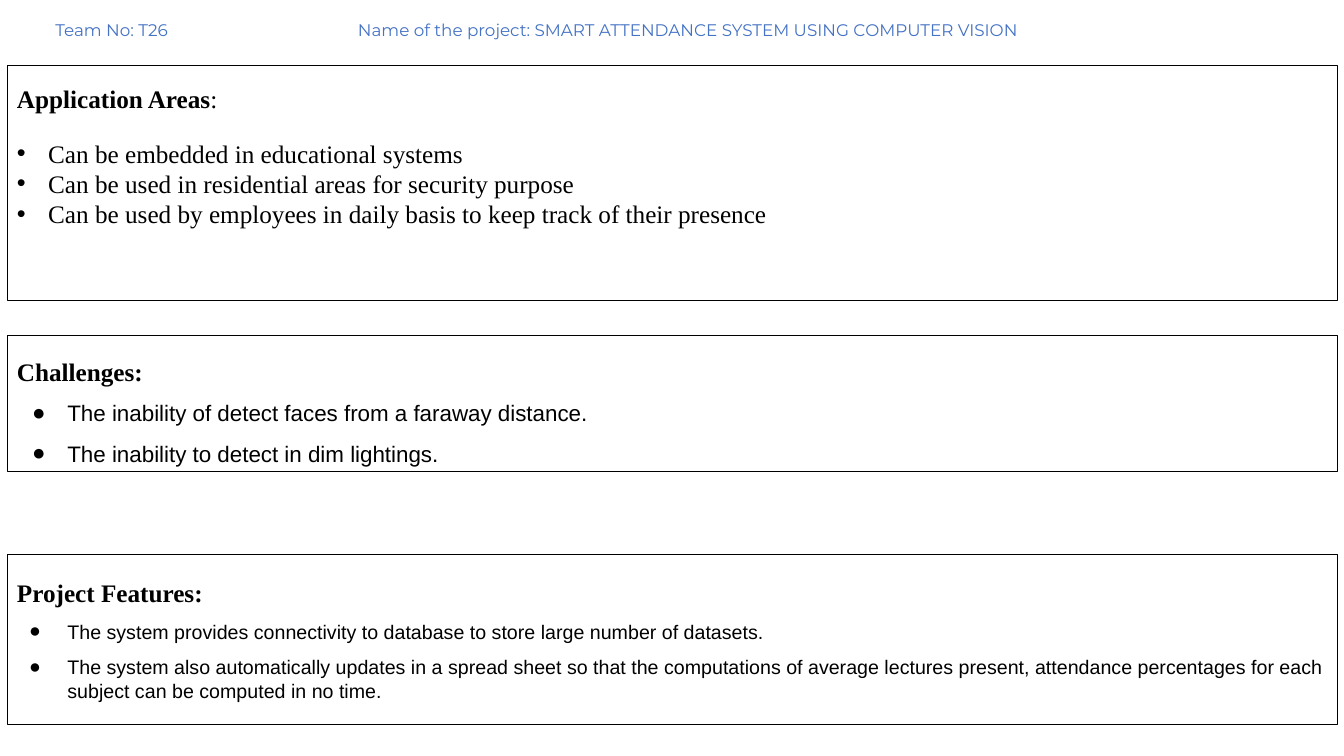
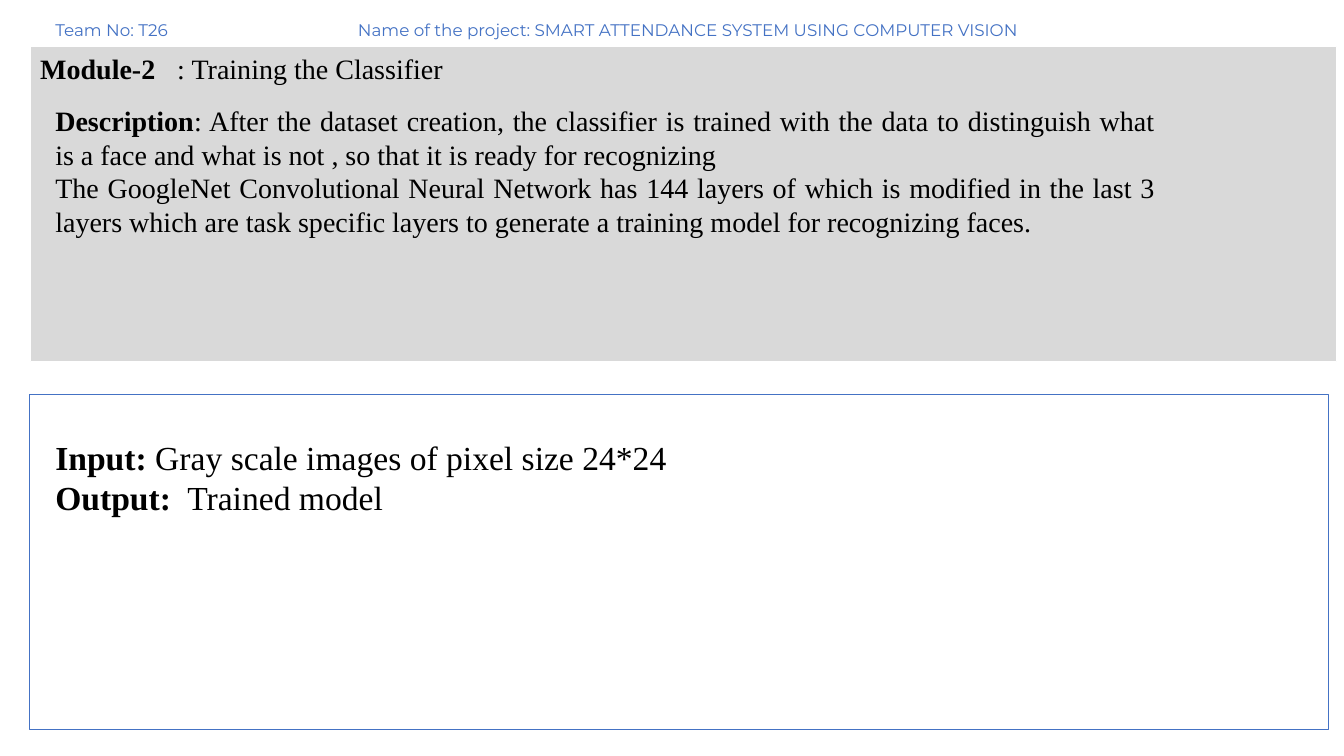
from dataclasses import dataclass

from lxml.etree import SubElement
from pptx import Presentation
from pptx.dml.color import RGBColor
from pptx.enum.shapes import MSO_SHAPE as Preset
from pptx.enum.text import MSO_ANCHOR as Anchor, MSO_AUTO_SIZE as AutoSize, PP_ALIGN as Align
from pptx.oxml.ns import qn
from pptx.util import Pt

EMU_PER_PX = 9144  # 100 px to the inch
TITLE_ONLY = 5


@dataclass(frozen=True)
class Theme:
    black: RGBColor = RGBColor(0x00, 0x00, 0x00)
    white: RGBColor = RGBColor(0xFF, 0xFF, 0xFF)
    blue: RGBColor = RGBColor(0x44, 0x72, 0xC4)
    gray: RGBColor = RGBColor(0xD9, 0xD9, 0xD9)
    title_font: str = "Montserrat"
    serif: str = "Times New Roman"
    sans: str = "Arial"
    title_size: int = 12
    heading_size: int = 18
    module_size: int = 20
    result_size: int = 24
    line_width: float = 0.75


THEME = Theme()

HEADER = "Team No: T26\tName of the project: SMART ATTENDANCE SYSTEM USING COMPUTER VISION"
HEADER_BOX = (45, 17, 1269, 35)

PANEL_LEFT, PANEL_WIDTH = 7, 1320
PANELS = [
    {
        "top": 65, "height": 233, "bottom_inset": 58,
        "heading": [("Application Areas", True), (":", False)],
        "heading_format": {"after": 17},
        "items": [
            "Can be embedded in educational systems",
            "Can be used in residential areas for security purpose",
            "Can be used by employees in daily basis to keep track of their presence",
        ],
        "item_format": {"bullet": "•", "margin": 31, "hanging": 31},
    },
    {
        "top": 333, "height": 135, "bottom_inset": 5,
        "heading": [("Challenges:", True)],
        "heading_format": {"spacing": 1.5},
        "items": [
            "The inability of detect faces from a faraway distance.",
            "The inability to detect in dim lightings.",
        ],
        "item_format": {"bullet": "●", "margin": 50, "hanging": 35, "spacing": 1.5,
                        "font": THEME.sans, "size": 16},
    },
    {
        "top": 550, "height": 169, "bottom_inset": 5,
        "heading": [("Project Features:", True)],
        "heading_format": {},
        "items": [
            "The system provides connectivity to database to store large number of datasets.",
            "The system also automatically updates in a spread sheet so that the computations of "
            "average lectures present, attendance percentages for each subject can be computed "
            "in no time.",
        ],
        "item_format": {"bullet": "●", "margin": 50, "hanging": 38, "before": 8.7,
                        "font": THEME.sans, "size": 14},
    },
]

MODULE_BOX = (30, 46, 1296, 313)
MODULE = [("Module-2", True), ("\t: Training the Classifier", False)]

DESCRIPTION_BOX = (45, 98, 1111, 145)
DESCRIPTION = [
    [("Description", True),
     (": After the dataset creation, the classifier is trained with the data to distinguish "
      "what is a face and what is not , so that it is ready for recognizing", False)],
    [("The GoogleNet Convolutional Neural Network has 144 layers of which is modified in the "
      "last 3 layers which are task specific layers to generate a training model for "
      "recognizing faces.", False)],
]

RESULT_FRAME = (29, 391, 1289, 333)
RESULT_BOX = (45, 401, 747, 109)
RESULTS = [
    [("Input: ", True), ("Gray scale images of pixel size 24*24", False)],
    [("Output:", True), ("\tTrained model", False)],
]


def px(length):
    return round(length * EMU_PER_PX)


def set_frame(shape, anchor=Anchor.TOP, top=5, bottom=5):
    """Set wrapping, anchor and insets, and return the text frame."""
    frame = shape.text_frame
    frame.word_wrap = True
    frame.auto_size = AutoSize.NONE
    frame.vertical_anchor = anchor
    frame.margin_left = frame.margin_right = px(10)
    frame.margin_top, frame.margin_bottom = px(top), px(bottom)
    return frame


def add_text(frame, runs, font=THEME.serif, size=THEME.heading_size, color=THEME.black,
             align=Align.LEFT, spacing=1.0, before=0, after=0,
             bullet=None, margin=0, hanging=0, tab=None):
    """Write (text, bold) runs as the next paragraph; lengths in px, spaces in points."""
    paragraph = frame.paragraphs[0]
    if paragraph.runs:
        paragraph = frame.add_paragraph()
    paragraph.alignment = align
    paragraph.line_spacing = spacing
    paragraph.space_before, paragraph.space_after = Pt(before), Pt(after)
    properties = paragraph._p.get_or_add_pPr()
    if bullet:
        properties.set("marL", str(px(margin)))
        properties.set("indent", str(-px(hanging)))
        SubElement(properties, qn("a:buFont"), typeface=THEME.sans)
        SubElement(properties, qn("a:buChar"), char=bullet)
    if tab:
        stops = SubElement(properties, qn("a:tabLst"))
        SubElement(stops, qn("a:tab"), pos=str(px(tab)), algn="l")
    for text, bold in runs:
        run = paragraph.add_run()
        run.text = text
        run.font.name, run.font.size, run.font.bold = font, Pt(size), bold
        run.font.color.rgb = color


def add_box(slide, box, line, fill=None):
    shape = slide.shapes.add_shape(Preset.RECTANGLE, *map(px, box))
    shape.shadow.inherit = False
    if fill is None:
        shape.fill.background()
    else:
        shape.fill.solid()
        shape.fill.fore_color.rgb = fill
    shape.line.color.rgb = line
    shape.line.width = Pt(THEME.line_width)
    return shape


def add_text_box(slide, box, paragraphs, top=5, **text_format):
    frame = set_frame(slide.shapes.add_textbox(*map(px, box)), top=top)
    for runs in paragraphs:
        add_text(frame, runs, **text_format)


def add_slide(presentation):
    """Add a slide with the shared header as its title."""
    slide = presentation.slides.add_slide(presentation.slide_layouts[TITLE_ONLY])
    title = slide.shapes.title
    title.left, title.top, title.width, title.height = map(px, HEADER_BOX)
    add_text(set_frame(title), [(HEADER, False)], font=THEME.title_font,
             size=THEME.title_size, color=THEME.blue, spacing=0.9, tab=300)
    return slide


def build_overview(presentation):
    slide = add_slide(presentation)
    for panel in PANELS:
        box = (PANEL_LEFT, panel["top"], PANEL_WIDTH, panel["height"])
        shape = add_box(slide, box, THEME.black, THEME.white)
        frame = set_frame(shape, Anchor.MIDDLE, bottom=panel["bottom_inset"])
        add_text(frame, panel["heading"], **panel["heading_format"])
        for item in panel["items"]:
            add_text(frame, [(item, False)], **panel["item_format"])


def build_module(presentation):
    slide = add_slide(presentation)
    add_box(slide, RESULT_FRAME, THEME.blue)
    add_text_box(slide, RESULT_BOX, RESULTS, top=32, size=THEME.result_size, tab=131)
    module = add_box(slide, MODULE_BOX, THEME.white, THEME.gray)
    add_text(set_frame(module), MODULE, size=THEME.module_size, tab=136)
    add_text_box(slide, DESCRIPTION_BOX, DESCRIPTION, size=THEME.module_size,
                 align=Align.JUSTIFY)


def main():
    presentation = Presentation()
    presentation.slide_width, presentation.slide_height = px(1333), px(750)
    build_overview(presentation)
    build_module(presentation)
    presentation.save("out.pptx")


if __name__ == "__main__":
    main()
